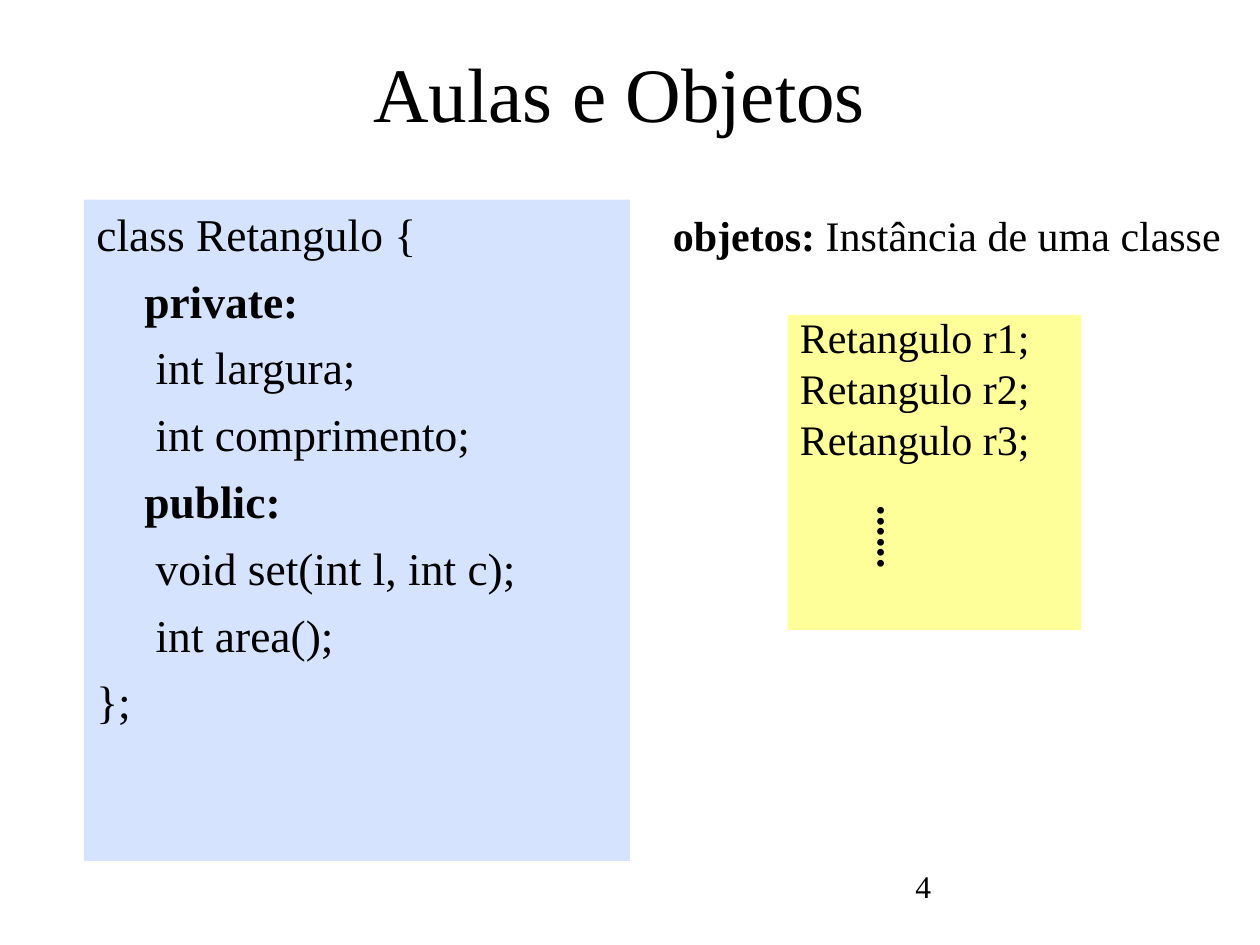
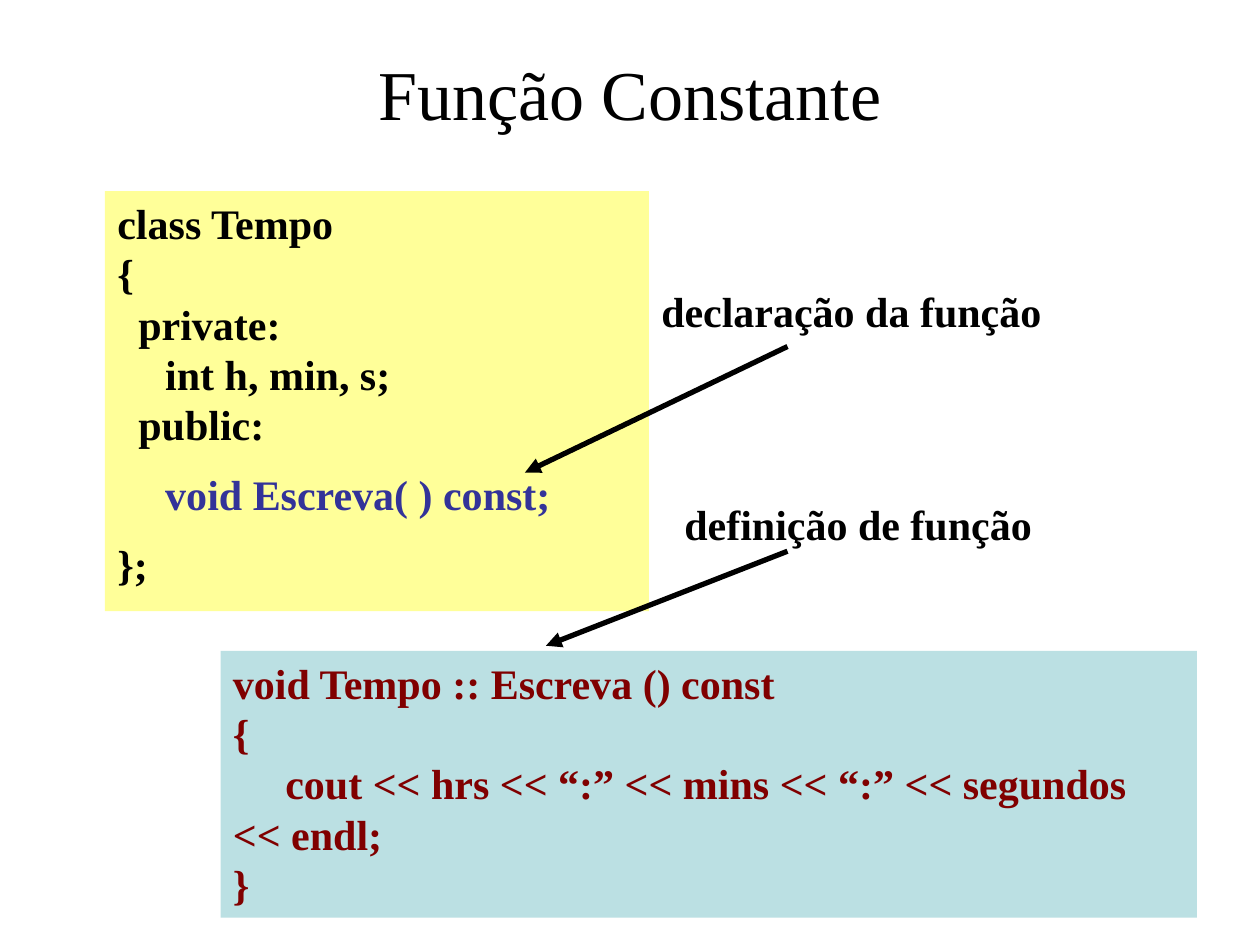
from lxml import etree
from pptx import Presentation
from pptx.dml.color import RGBColor
from pptx.enum.shapes import MSO_CONNECTOR, MSO_SHAPE
from pptx.enum.text import MSO_ANCHOR, PP_ALIGN
from pptx.oxml.ns import qn
from pptx.util import Inches, Pt

RECT, STRAIGHT = MSO_SHAPE.RECTANGLE, MSO_CONNECTOR.STRAIGHT
TOP, MIDDLE = MSO_ANCHOR.TOP, MSO_ANCHOR.MIDDLE
LEFT, CENTER = PP_ALIGN.LEFT, PP_ALIGN.CENTER

FONT = "Times New Roman"
BLACK, INDIGO, MAROON = "000000", "333399", "800000"
YELLOW, PALE_BLUE, TEAL = "FFFF99", "D5E3FF", "BBE0E3"
BODY = 24
CODE_INDENT = 0.38  # inches


def rgb(value):
    return RGBColor.from_string(value)


class Deck:
    """Shared style and current slide; lengths are grid units, 12 to the inch."""

    COLUMNS, ROWS = 120, 90

    def __init__(self):
        self.prs = Presentation()
        self.prs.slide_width, self.prs.slide_height = Inches(10), Inches(7.5)
        self.s = None

    def x(self, columns):
        return round(self.prs.slide_width * columns / self.COLUMNS)

    def y(self, rows):
        return round(self.prs.slide_height * rows / self.ROWS)

    def area(self, left, top, width, height):
        return self.x(left), self.y(top), self.x(width), self.y(height)

    def slide(self, title, area, size):
        self.s = self.prs.slides.add_slide(self.prs.slide_layouts[6])
        self.text(area, [title], size, align=CENTER, anchor=MIDDLE)

    def fill_text(self, sp, lines, size, bold=False, color=BLACK, align=LEFT,
                  anchor=TOP, wrap=True, before=0, spacing=None):
        """Each line is a string, or a pair of text and its own settings."""
        tf = sp.text_frame
        tf.word_wrap, tf.vertical_anchor = wrap, anchor
        for i, line in enumerate(lines):
            text, own = (line, {}) if isinstance(line, str) else line
            p = tf.paragraphs[0] if i == 0 else tf.add_paragraph()
            if own.get("lead"):
                p.add_run().text = own["lead"]
                p.runs[0].font.bold = True
            p.add_run().text = text
            if own.get("indent"):
                p._p.get_or_add_pPr().set("marL", str(Inches(CODE_INDENT)))
            p.alignment = align
            p.space_before = Pt(own.get("before", before) if i else 0)
            if spacing:
                p.line_spacing = spacing
            p.font.name, p.font.size = FONT, Pt(size)
            p.font.bold = own.get("bold", bold)
            p.font.color.rgb = rgb(own.get("color", color))

    def text(self, area, lines, size=BODY, **style):
        sp = self.s.shapes.add_textbox(*self.area(*area))
        self.fill_text(sp, lines, size, **style)
        return sp

    def panel(self, area, fill, lines, size=BODY, **style):
        sp = self.s.shapes.add_shape(RECT, *self.area(*area))
        sp.shadow.inherit = False
        sp.fill.solid()
        sp.fill.fore_color.rgb = rgb(fill)
        sp.line.fill.background()
        self.fill_text(sp, lines, size, **style)

    def arrow(self, x1, y1, x2, y2):
        c = self.s.shapes.add_connector(
            STRAIGHT, self.x(x1), self.y(y1), self.x(x2), self.y(y2))
        c.line.width = Pt(3)
        c.line.color.rgb = rgb(BLACK)
        etree.SubElement(c.line._get_or_add_ln(), qn("a:tailEnd"), type="triangle")
        etree.SubElement(c._element.spPr, qn("a:effectLst"))


def classes_and_objects(deck):
    deck.slide("Aulas e Objetos", (5, 4.5, 108, 8.5), 44)

    # Class declaration
    member, access = {"indent": True}, {"indent": True, "bold": True}
    deck.panel((8, 19, 52, 63), PALE_BLUE, [
        "class Retangulo {",
        ("private:", access),
        (" int largura;", member),
        (" int comprimento;", member),
        ("public:", access),
        (" void set(int l, int c);", member),
        (" int area();", member),
        "};",
    ], 26, before=7)

    # Objects of the class
    deck.text((62.9, 19.4, 54.8, 6.1),
              [(" Instância de uma classe", {"lead": "objetos:"})])
    deck.panel((75, 30, 28, 30), YELLOW,
               [f"Retangulo r{n};" for n in (1, 2, 3)], before=6, spacing=0.8)
    dots = deck.text((81, 47, 7.2, 11), ["......"], bold=True)
    dots.text_frame._txBody.bodyPr.set("vert", "eaVert")

    # Slide number
    deck.text((86, 82, 28, 6.2), ["4"], 18)


def constant_function(deck):
    deck.slide("Função Constante", (6, 3.6, 108, 10.4), 40)

    # Class declaration
    deck.panel((10, 18.2, 51.8, 40), YELLOW, [
        "class Tempo",
        "{",
        "  private:",
        ("int h, min, s;", {"indent": True}),
        "  public:",
        ("void Escreva( ) const;",
         {"indent": True, "color": INDIGO, "before": 11}),
        ("};", {"before": 11}),
    ], bold=True)

    # Function definition
    deck.panel((21, 62, 93, 25.4), TEAL, [
        "void Tempo :: Escreva () const",
        "{",
        "     cout << hrs << “:” << mins << “:” << segundos << endl;",
        "}",
    ], bold=True, color=MAROON)

    # Labels and their arrows
    for label, area, ends in (
        ("declaração da função", (61.8, 26.6, 38.9, 6.1), (75, 33, 50, 45)),
        ("definição de função", (64, 46.9, 35.8, 6.1), (75, 52.5, 52, 61.5)),
    ):
        deck.text(area, [label], bold=True, wrap=False)
        deck.arrow(*ends)


def main():
    deck = Deck()
    classes_and_objects(deck)
    constant_function(deck)
    deck.prs.save("out.pptx")


if __name__ == "__main__":
    main()
